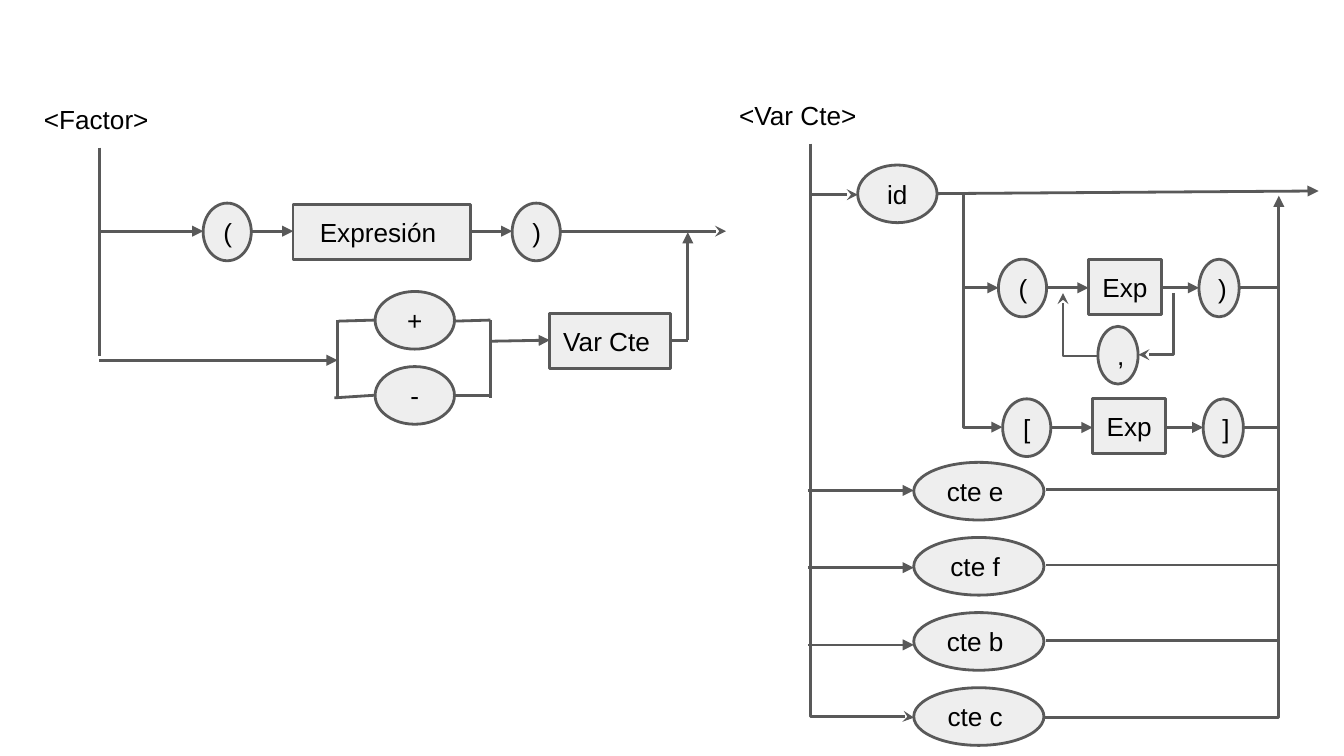
from pptx import Presentation
from pptx.dml.color import RGBColor
from pptx.enum.shapes import MSO_CONNECTOR as Link, MSO_SHAPE as Form
from pptx.enum.text import MSO_ANCHOR as Anchor, PP_ALIGN as Align
from pptx.oxml.ns import qn
from pptx.util import Cm, Pt
from lxml.etree import SubElement

GREY, PALE, BLACK = "595959", "EEEEEE", "000000"
TALL, LOW = 1.09, 1.04      # heights of ovals and boxes
STEP = 1.42                 # gap between the constants


def paint(part, code):
    """Give a fill or font colour a hex value."""
    part.rgb = RGBColor.from_string(code)


def write(shape, text, align):
    """Put one line of text in a shape."""
    frame = shape.text_frame
    frame.word_wrap = True
    frame.margin_left = frame.margin_right = Cm(0.25)
    frame.margin_top = frame.margin_bottom = Cm(0.25)
    frame.text = text
    line = frame.paragraphs[0]
    line.alignment = align
    font = line.runs[0].font
    font.name, font.size = "Arial", Pt(14)
    paint(font.color, BLACK)


def label(slide, text, x, y, w):
    """Add the name of a rule."""
    box = slide.shapes.add_textbox(Cm(x), Cm(y), Cm(w), Cm(TALL))
    write(box, text, Align.LEFT)


def node(slide, form, text, x, y, w, h):
    """Add a filled, outlined symbol with centred text."""
    shape = slide.shapes.add_shape(form, Cm(x), Cm(y), Cm(w), Cm(h))
    shape.shadow.inherit = False
    shape.fill.solid()
    paint(shape.fill.fore_color, PALE)
    shape.line.width = Pt(1.5)
    paint(shape.line.color, GREY)
    shape.text_frame.vertical_anchor = Anchor.MIDDLE
    write(shape, text, Align.CENTER)


def wire(slide, x1, y1, x2, y2, head=None, kind=Link.STRAIGHT):
    """Add a line, with an arrowhead at its end if one is named."""
    line = slide.shapes.add_connector(kind, Cm(x1), Cm(y1), Cm(x2), Cm(y2))
    line.line.width = Pt(1.5)
    paint(line.line.color, GREY)
    props = line._element.spPr
    if head:
        tip = SubElement(props.find(qn("a:ln")), qn("a:tailEnd"))
        for key, size in (("type", head), ("w", "med"), ("len", "med")):
            tip.set(key, size)
    SubElement(props, qn("a:effectLst"))
    return line


def bend(slide, x, y, w, h, turn, flip, head, adj=None):
    """Add a turned elbow; adj places the middle leg of a three-part one."""
    line = wire(slide, x, y, x + w, y + h, head, Link.ELBOW)
    props = line._element.spPr
    frame = props.find(qn("a:xfrm"))
    frame.set("rot", str(turn * 60000))
    if flip:
        frame.set("flipH", "1")
    geom = props.find(qn("a:prstGeom"))
    if adj is None:
        geom.set("prst", "bentConnector2")
        return
    guide = SubElement(geom.find(qn("a:avLst")), qn("a:gd"))
    guide.set("name", "adj1")
    guide.set("fmla", f"val {adj}")


def factor(slide):
    """Draw the Factor rule."""
    label(slide, "<Factor>", 0.58, 1.7, 2.62)
    for wires in (
        (1.88, 2.79, 1.88, 6.73),
        (1.88, 4.37, 3.84, 4.37, "triangle"),
        (4.75, 4.37, 5.54, 4.37, "triangle"),
        (8.89, 4.37, 9.68, 4.37, "triangle"),
        (10.59, 4.37, 13.72, 4.37, "stealth"),
        (1.88, 6.81, 6.38, 6.81, "triangle"),
        (6.38, 6.05, 6.38, 7.52),
        (6.4, 6.07, 7.09, 6.05),
        (6.32, 7.52, 7.09, 7.47),
        (8.59, 6.07, 9.27, 6.05),
        (8.59, 7.47, 9.3, 7.47),
        (9.27, 6.05, 9.27, 7.52),
        (9.27, 6.45, 10.39, 6.43, "triangle"),
        (12.67, 6.43, 13, 6.43),
        (13, 6.43, 13, 4.39, "triangle"),
    ):
        wire(slide, *wires)
    for text, x, y, w in (("(", 3.84, 3.84, 0.91), (")", 9.68, 3.84, 0.91),
                          ("+", 7.09, 5.51, 1.5), ("-", 7.09, 6.93, 1.5)):
        node(slide, Form.OVAL, text, x, y, w, TALL)
    node(slide, Form.RECTANGLE, "Expresión ", 5.54, 3.86, 3.35, LOW)
    node(slide, Form.RECTANGLE, "Var Cte ", 10.39, 5.92, 2.29, LOW)


def group(slide, marks, x, y):
    """Draw a bracketed Exp, with its arrows and its way out."""
    mid = y + 0.54
    node(slide, Form.OVAL, marks[0], x, y, 0.91, TALL)
    node(slide, Form.RECTANGLE, "Exp ", x + 1.7, y, 1.38, LOW)
    node(slide, Form.OVAL, marks[1], x + 3.79, y, 0.76, TALL)
    wire(slide, x + 0.91, mid, x + 1.7, mid, "triangle")
    wire(slide, x + 3.08, mid, x + 3.79, mid, "triangle")
    wire(slide, x + 4.55, mid, 24.18, mid)


def var(slide):
    """Draw the Var Cte rule."""
    label(slide, "<Var Cte>", 13.72, 1.63, 3.18)
    wire(slide, 15.29, 3.68, 16.21, 3.68, "stealth")
    wire(slide, 17.68, 3.66, 24.92, 3.61, "triangle")
    wire(slide, 18.19, 5.44, 18.87, 5.44, "triangle")
    bend(slide, 10.87, 7.16, 10.85, 1.96, 270, True, "stealth", 99800)
    bend(slide, 16.38, 5.51, 4.39, 0.74, 270, True, "triangle")
    bend(slide, 17.02, 6.38, 9.83, 4.47, 270, False, "triangle", -400)
    bend(slide, 20.09, 5.54, 0.66, 1.19, 180, False, "stealth")
    bend(slide, 21.26, 5.79, 1.17, 0.66, 90, False, "stealth")
    node(slide, Form.OVAL, "id", 16.21, 3.12, 1.5, TALL)
    node(slide, Form.OVAL, ",", 20.75, 6.17, 0.76, TALL)
    group(slide, "()", 18.87, 4.9)
    group(slide, "[]", 18.95, 7.54)
    for i, kind in enumerate("efbc"):
        node(slide, Form.OVAL, f"cte {kind} ", 17.27, 8.74 + i * STEP, 2.46, TALL)
        if kind != "c":
            enter, leave = 9.27 + i * 1.46, 9.26 + i * STEP
            wire(slide, 15.27, enter, 17.27, enter, "triangle")
            wire(slide, 19.76, leave, 24.18, leave)


def main():
    """Build and save the slide."""
    deck = Presentation()
    deck.slide_width, deck.slide_height = Cm(25.4), Cm(14.29)
    slide = deck.slides.add_slide(deck.slide_layouts[6])
    factor(slide)
    var(slide)
    deck.save("out.pptx")


main()
